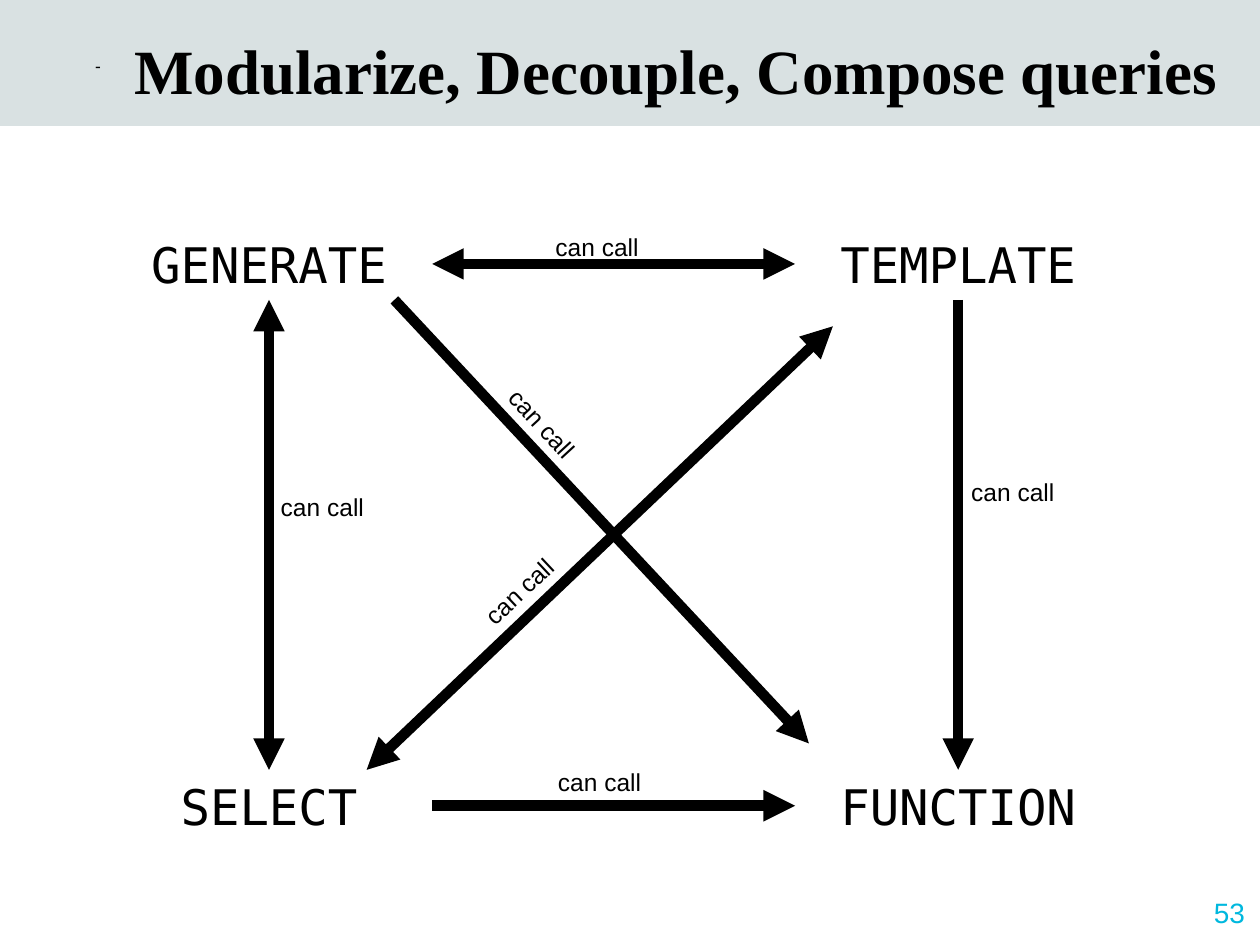
from dataclasses import dataclass

import pptx
import pptx.util
from lxml import etree
from pptx.dml.color import RGBColor
from pptx.enum.shapes import MSO_CONNECTOR, MSO_SHAPE
from pptx.enum.text import MSO_ANCHOR, MSO_AUTO_SIZE, PP_ALIGN
from pptx.oxml.ns import qn
from pptx.util import Inches


@dataclass(frozen=True)
class Theme:
    ink: RGBColor = RGBColor(0, 0, 0)
    band: RGBColor = RGBColor(0xD9, 0xE1, 0xE2)
    accent: RGBColor = RGBColor(0x00, 0xB8, 0xDE)
    title_font: str = "Times New Roman"
    label_font: str = "Arial"
    code_font: str = "DejaVu Sans Mono"
    title_size: int = 36
    keyword_size: int = 28
    number_size: int = 16
    label_size: int = 14
    arrow_width: int = 6


THEME = Theme()
TOP, LEFT, BOTTOM, RIGHT = range(4)
LEFT_COLUMN, RIGHT_COLUMN = 0.84, 6.31
UPPER_ROW, LOWER_ROW = 1.81, 6.11
KEYWORDS = {
    "GENERATE": (LEFT_COLUMN, UPPER_ROW),
    "TEMPLATE": (RIGHT_COLUMN, UPPER_ROW),
    "SELECT": (LEFT_COLUMN, LOWER_ROW),
    "FUNCTION": (RIGHT_COLUMN, LOWER_ROW),
}
# caller, its side, callee, its side, calls go both ways
SIDE_CALLS = [
    ("GENERATE", BOTTOM, "SELECT", TOP, True),
    ("SELECT", RIGHT, "FUNCTION", LEFT, False),
    ("TEMPLATE", BOTTOM, "FUNCTION", TOP, False),
    ("GENERATE", RIGHT, "TEMPLATE", LEFT, True),
]
# start, end, calls go both ways
DIAGONAL_CALLS = [
    ((3.13, 2.38), (6.42, 5.9), False),
    ((6.61, 2.59), (2.91, 6.11), True),
]
# left, top, rotation
CALL_LABELS = [
    (4.31, 1.79, 0),
    (3.87, 3.2, 47.3),
    (3.69, 4.52, 316.8),
    (7.61, 3.74, 0),
    (2.13, 3.86, 0),
    (4.33, 6.04, 0),
]


def add_run(paragraph, text, font, size, color=THEME.ink, bold=False):
    run = paragraph.add_run()
    run.text = text
    run.font.name = font
    run.font.size = pptx.util.Pt(size)
    run.font.color.rgb = color
    run.font.bold = bold


def clear_margins(frame):
    frame.margin_left = frame.margin_right = 0
    frame.margin_top = frame.margin_bottom = 0


def add_band(slide):
    """Put the title band behind everything else."""
    band = slide.shapes.add_shape(MSO_SHAPE.RECTANGLE, 0, 0, Inches(10), Inches(1))
    band.shadow.inherit = False
    band.fill.solid()
    band.fill.fore_color.rgb = THEME.band
    band.line.fill.background()
    slide.shapes._spTree.insert(2, band._element)


def add_dash_bullet(paragraph, indent, percent):
    properties = paragraph._p.get_or_add_pPr()
    properties.set("marL", str(indent))
    properties.set("indent", str(-indent))
    size = etree.SubElement(properties, qn("a:buSzPct"))
    size.set("val", str(percent * 1000))
    etree.SubElement(properties, qn("a:buChar")).set("char", "-")


def fill_title(slide, text):
    title = slide.shapes.title
    title.left, title.top = Inches(0.68), Inches(0.25)
    title.width, title.height = Inches(9.06), Inches(0.83)
    frame = title.text_frame
    clear_margins(frame)
    frame.vertical_anchor = MSO_ANCHOR.TOP
    frame.auto_size = MSO_AUTO_SIZE.NONE
    paragraph = frame.paragraphs[0]
    paragraph.alignment = PP_ALIGN.CENTER
    paragraph.space_after = pptx.util.Pt(2)
    add_dash_bullet(paragraph, Inches(0.31), 25)
    add_run(paragraph, text, THEME.title_font, THEME.title_size, bold=True)


def add_slide_number(slide, number):
    box = slide.shapes.add_textbox(Inches(9.17), Inches(7.02), Inches(0.71), Inches(0.44))
    frame = box.text_frame
    clear_margins(frame)
    frame.word_wrap = True
    frame.vertical_anchor = MSO_ANCHOR.MIDDLE
    paragraph = frame.paragraphs[0]
    paragraph.alignment = PP_ALIGN.RIGHT
    add_run(paragraph, number, THEME.label_font, THEME.number_size, THEME.accent)


def add_keyword(slide, keyword, left, top):
    box = slide.shapes.add_textbox(Inches(left), Inches(top), Inches(2.59), Inches(0.57))
    box.text_frame.word_wrap = True
    box.text_frame.auto_size = MSO_AUTO_SIZE.SHAPE_TO_FIT_TEXT
    paragraph = box.text_frame.paragraphs[0]
    paragraph.alignment = PP_ALIGN.CENTER
    add_run(paragraph, keyword, THEME.code_font, THEME.keyword_size)
    return box


def add_arrow(slide, both_ways, start=(0, 0), end=(0, 0)):
    points = [Inches(value) for value in (*start, *end)]
    arrow = slide.shapes.add_connector(MSO_CONNECTOR.STRAIGHT, *points)
    arrow.line.color.rgb = THEME.ink
    arrow.line.width = pptx.util.Pt(THEME.arrow_width)
    line = arrow.line._get_or_add_ln()
    for tip in ("a:headEnd", "a:tailEnd") if both_ways else ("a:tailEnd",):
        etree.SubElement(line, qn(tip)).set("type", "triangle")
    etree.SubElement(arrow._element.spPr, qn("a:effectLst"))
    return arrow


def add_call_label(slide, left, top, rotation):
    label = slide.shapes.add_textbox(Inches(left), Inches(top), Inches(0.87), Inches(0.34))
    label.rotation = rotation
    label.text_frame.word_wrap = False
    label.text_frame.auto_size = MSO_AUTO_SIZE.SHAPE_TO_FIT_TEXT
    add_run(label.text_frame.paragraphs[0], "can call", THEME.label_font, THEME.label_size)


def main():
    presentation = pptx.Presentation()
    presentation.slide_width, presentation.slide_height = Inches(10), Inches(7.5)
    slide = presentation.slides.add_slide(presentation.slide_layouts.get_by_name("Title Only"))

    add_band(slide)
    fill_title(slide, "Modularize, Decouple, Compose queries")
    add_slide_number(slide, "53")

    keywords = {name: add_keyword(slide, name, *place) for name, place in KEYWORDS.items()}
    for caller, caller_side, callee, callee_side, both_ways in SIDE_CALLS:
        arrow = add_arrow(slide, both_ways)
        arrow.begin_connect(keywords[caller], caller_side)
        arrow.end_connect(keywords[callee], callee_side)
    for start, end, both_ways in DIAGONAL_CALLS:
        add_arrow(slide, both_ways, start, end)
    for left, top, rotation in CALL_LABELS:
        add_call_label(slide, left, top, rotation)

    presentation.save("out.pptx")


if __name__ == "__main__":
    main()
